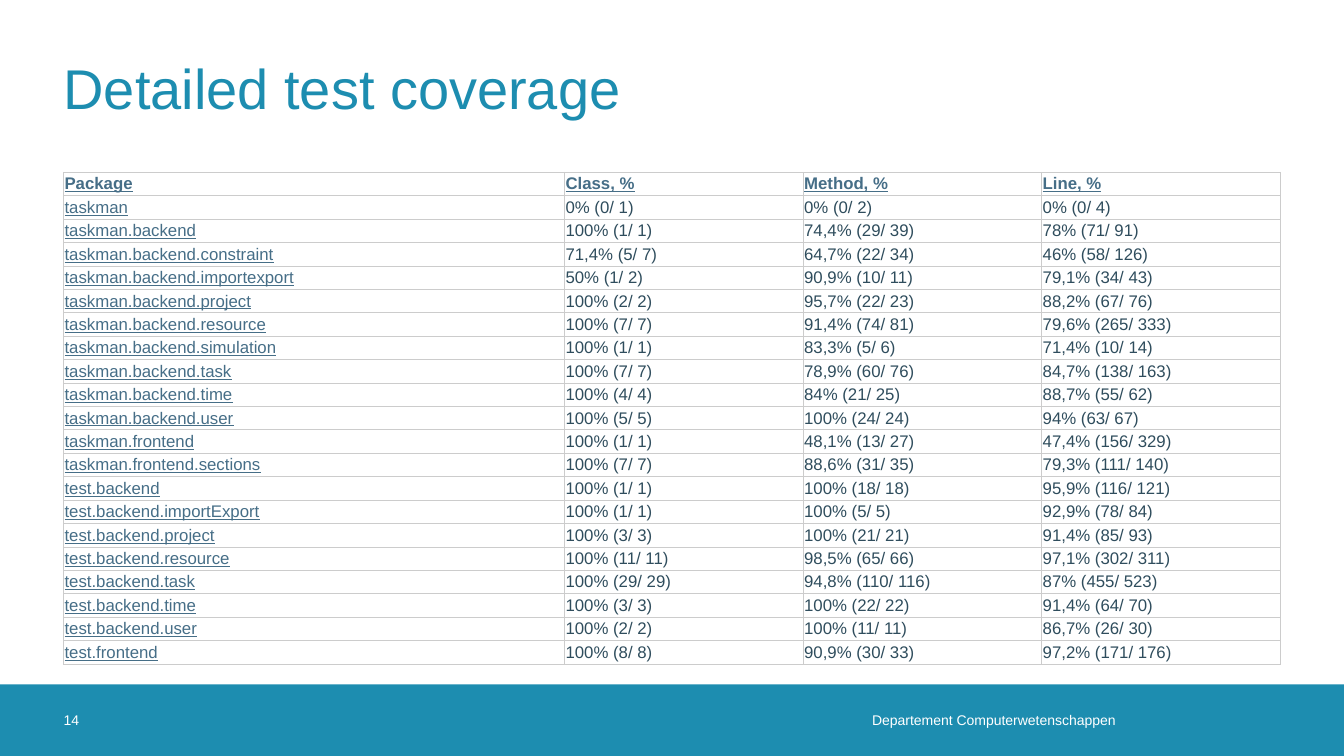
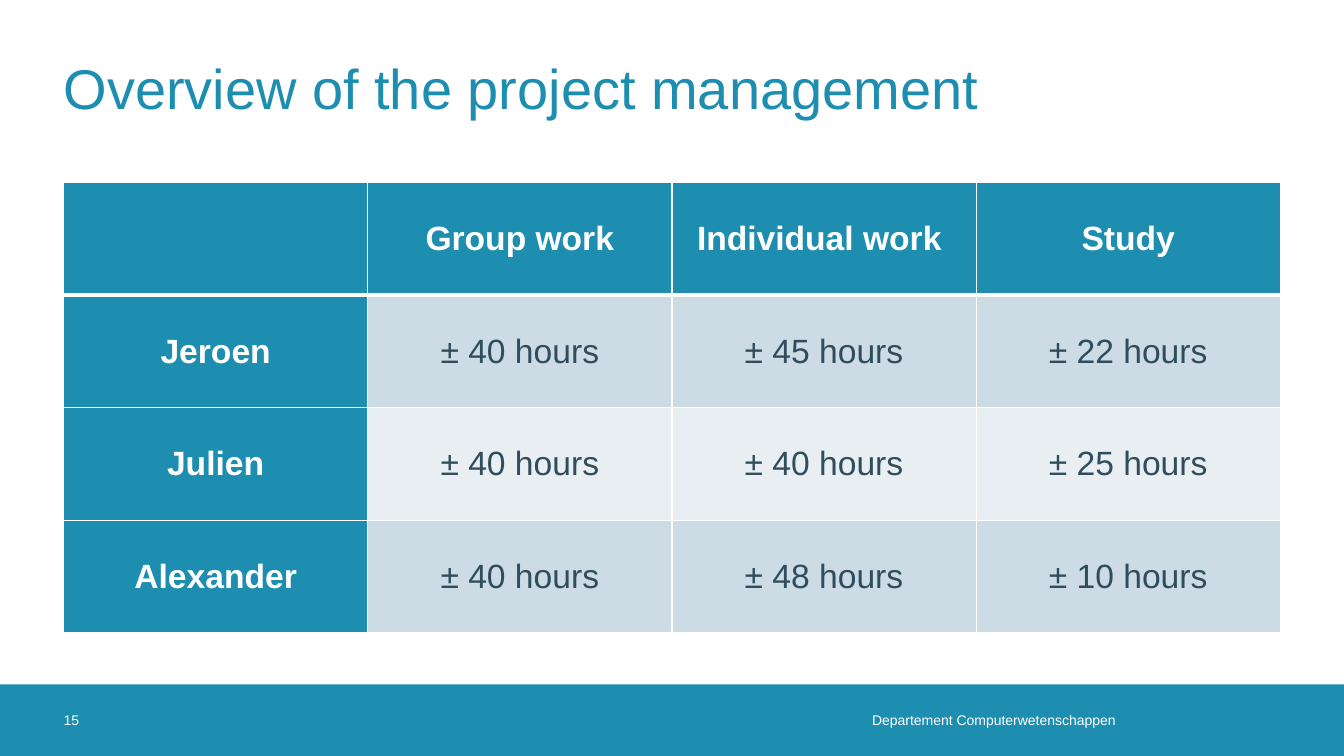
from dataclasses import dataclass

from lxml.etree import SubElement
from pptx import Presentation
from pptx.dml.color import RGBColor
from pptx.enum.shapes import MSO_SHAPE
from pptx.enum.text import MSO_ANCHOR, MSO_AUTO_SIZE, PP_ALIGN
from pptx.oxml.ns import qn
from pptx.util import Inches, Pt


@dataclass(frozen=True)
class Theme:
    font: str = "Arial"
    accent: str = "1D8DB0"
    paper: str = "FFFFFF"
    ink: str = "2F4D5D"
    link: str = "466E87"
    rule: str = "CCCCCC"
    stripes: tuple = ("CDDBE4", "E8EEF2")
    title_size: int = 40
    matrix_size: int = 24
    detail_size: int = 12
    footer_size: int = 10


THEME = Theme()

# Positions and sizes are percentages of the slide's width and height.
MARGIN, CONTENT_WIDTH = 4.73, 90.54
BAND_TOP, BAND_HEIGHT = 90.53, 9.47
FOOTER = "Departement Computerwetenschappen"

COVERAGE = [
    ("Package", "Class, %", "Method, %", "Line, %"),
    ("taskman", "0% (0/ 1)", "0% (0/ 2)", "0% (0/ 4)"),
    ("taskman.backend", "100% (1/ 1)", "74,4% (29/ 39)", "78% (71/ 91)"),
    ("taskman.backend.constraint", "71,4% (5/ 7)", "64,7% (22/ 34)", "46% (58/ 126)"),
    ("taskman.backend.importexport", "50% (1/ 2)", "90,9% (10/ 11)", "79,1% (34/ 43)"),
    ("taskman.backend.project", "100% (2/ 2)", "95,7% (22/ 23)", "88,2% (67/ 76)"),
    ("taskman.backend.resource", "100% (7/ 7)", "91,4% (74/ 81)", "79,6% (265/ 333)"),
    ("taskman.backend.simulation", "100% (1/ 1)", "83,3% (5/ 6)", "71,4% (10/ 14)"),
    ("taskman.backend.task", "100% (7/ 7)", "78,9% (60/ 76)", "84,7% (138/ 163)"),
    ("taskman.backend.time", "100% (4/ 4)", "84% (21/ 25)", "88,7% (55/ 62)"),
    ("taskman.backend.user", "100% (5/ 5)", "100% (24/ 24)", "94% (63/ 67)"),
    ("taskman.frontend", "100% (1/ 1)", "48,1% (13/ 27)", "47,4% (156/ 329)"),
    ("taskman.frontend.sections", "100% (7/ 7)", "88,6% (31/ 35)", "79,3% (111/ 140)"),
    ("test.backend", "100% (1/ 1)", "100% (18/ 18)", "95,9% (116/ 121)"),
    ("test.backend.importExport", "100% (1/ 1)", "100% (5/ 5)", "92,9% (78/ 84)"),
    ("test.backend.project", "100% (3/ 3)", "100% (21/ 21)", "91,4% (85/ 93)"),
    ("test.backend.resource", "100% (11/ 11)", "98,5% (65/ 66)", "97,1% (302/ 311)"),
    ("test.backend.task", "100% (29/ 29)", "94,8% (110/ 116)", "87% (455/ 523)"),
    ("test.backend.time", "100% (3/ 3)", "100% (22/ 22)", "91,4% (64/ 70)"),
    ("test.backend.user", "100% (2/ 2)", "100% (11/ 11)", "86,7% (26/ 30)"),
    ("test.frontend", "100% (8/ 8)", "90,9% (30/ 33)", "97,2% (171/ 176)"),
]

HOURS = [
    ("", "Group work", "Individual work ", "Study"),
    ("Jeroen", "± 40 hours", "± 45 hours", "± 22 hours"),
    ("Julien", "± 40 hours", "± 40 hours", "± 25 hours"),
    ("Alexander", "± 40 hours", "± 48 hours", "± 10 hours"),
]


class Deck:
    def __init__(self, theme):
        self.theme = theme
        self.prs = Presentation()
        self.prs.slide_width, self.prs.slide_height = Inches(13.33), Inches(7.5)
        self.layout = self.prs.slide_layouts.get_by_name("Title Only")
        self.slide = None

    def box(self, left, top, width, height):
        """Turn percentages of the slide into lengths."""
        across, down = self.prs.slide_width / 100, self.prs.slide_height / 100
        return (round(left * across), round(top * down),
                round(width * across), round(height * down))

    def style(self, frame, size, color, bold=False, underline=False, align=PP_ALIGN.LEFT):
        for paragraph in frame.paragraphs:
            paragraph.alignment = align
            for run in paragraph.runs:
                font = run.font
                font.name, font.size = self.theme.font, Pt(size)
                font.bold, font.underline = bold, underline
                font.color.rgb = RGBColor.from_string(color)

    def prepare(self, frame, right_inset=0):
        frame.margin_left = frame.margin_top = frame.margin_bottom = 0
        frame.margin_right = Inches(right_inset)
        frame.vertical_anchor = MSO_ANCHOR.MIDDLE
        frame.auto_size = MSO_AUTO_SIZE.NONE
        frame.word_wrap = True

    def add_slide(self, title, number):
        first = self.slide is None
        self.slide = self.prs.slides.add_slide(self.layout)
        if first:
            self.add_band()
        self.add_footer(FOOTER, 43.5, 41, PP_ALIGN.RIGHT, right_inset=0.2)
        self.add_footer(str(number), MARGIN, 5.33)
        self.add_title(title)

    def add_band(self):
        """Draw the footer band and move it to the layout all slides share."""
        band = self.slide.shapes.add_shape(
            MSO_SHAPE.RECTANGLE, *self.box(0, BAND_TOP, 100, BAND_HEIGHT))
        band.shadow.inherit = False
        band.fill.solid()
        band.fill.fore_color.rgb = RGBColor.from_string(self.theme.accent)
        band.line.fill.background()
        self.layout.element.cSld.spTree.insert(2, band.element)

    def add_footer(self, text, left, width, align=PP_ALIGN.LEFT, right_inset=0):
        frame = self.slide.shapes.add_textbox(
            *self.box(left, BAND_TOP, width, BAND_HEIGHT)).text_frame
        self.prepare(frame, right_inset)
        frame.text = text
        self.style(frame, self.theme.footer_size, self.theme.paper, align=align)

    def add_title(self, text):
        title = self.slide.shapes.title
        title.left, title.top, title.width, title.height = self.box(
            MARGIN, 3.07, CONTENT_WIDTH, 16.8)
        self.prepare(title.text_frame)
        title.text_frame.text = text
        self.style(title.text_frame, self.theme.title_size, self.theme.accent)

    def add_grid(self, rows, top, height, weights):
        """Add an unstyled table and yield each cell with its row and column."""
        left, top, width, height = self.box(MARGIN, top, CONTENT_WIDTH, height)
        table = self.slide.shapes.add_table(
            len(rows), len(weights), left, top, width, height).table
        table.first_row = table.horz_banding = False
        for column, weight in zip(table.columns, weights):
            column.width = round(width * weight / sum(weights))
        for r, texts in enumerate(rows):
            table.rows[r].height = round(height / len(rows))
            for c, text in enumerate(texts):
                cell = table.cell(r, c)
                cell.text_frame.text = text
                cell.vertical_anchor = MSO_ANCHOR.MIDDLE
                yield r, c, cell

    def border(self, cell, color, left, right, top, bottom):
        """Set the four line widths in points; call before filling the cell."""
        properties = cell._tc.get_or_add_tcPr()
        for side, width in zip("LRTB", (left, right, top, bottom)):
            line = SubElement(properties, qn(f"a:ln{side}"), w=str(Pt(width)))
            fill = SubElement(line, qn("a:solidFill"))
            SubElement(fill, qn("a:srgbClr"), val=color)

    def add_detail_table(self, rows, top, height, weights):
        theme = self.theme
        for r, c, cell in self.add_grid(rows, top, height, weights):
            cell.margin_left = cell.margin_right = Inches(0.01)
            cell.margin_top = cell.margin_bottom = Inches(0.01)
            self.border(cell, theme.rule, *[0.75] * 4)
            cell.fill.background()
            linked = r == 0 or c == 0
            self.style(cell.text_frame, theme.detail_size,
                       theme.link if linked else theme.ink,
                       bold=r == 0, underline=linked)

    def add_matrix_table(self, rows, top, height):
        theme = self.theme
        for r, c, cell in self.add_grid(rows, top, height, [1] * len(rows[0])):
            heading = r == 0 or c == 0
            self.border(cell, theme.paper, 1, 1,
                        3 if r == 1 else 1, 3 if r == 0 else 1)
            cell.fill.solid()
            cell.fill.fore_color.rgb = RGBColor.from_string(
                theme.accent if heading else theme.stripes[(r - 1) % 2])
            self.style(cell.text_frame, theme.matrix_size,
                       theme.paper if heading else theme.ink,
                       bold=heading, align=PP_ALIGN.CENTER)


def main():
    deck = Deck(THEME)
    deck.add_slide("Detailed test coverage", 14)
    deck.add_detail_table(COVERAGE, 22.8, 65.07, (2.1, 1, 1, 1))
    deck.add_slide("Overview of the project management", 15)
    deck.add_matrix_table(HOURS, 24.13, 59.6)
    deck.prs.save("out.pptx")


if __name__ == "__main__":
    main()
